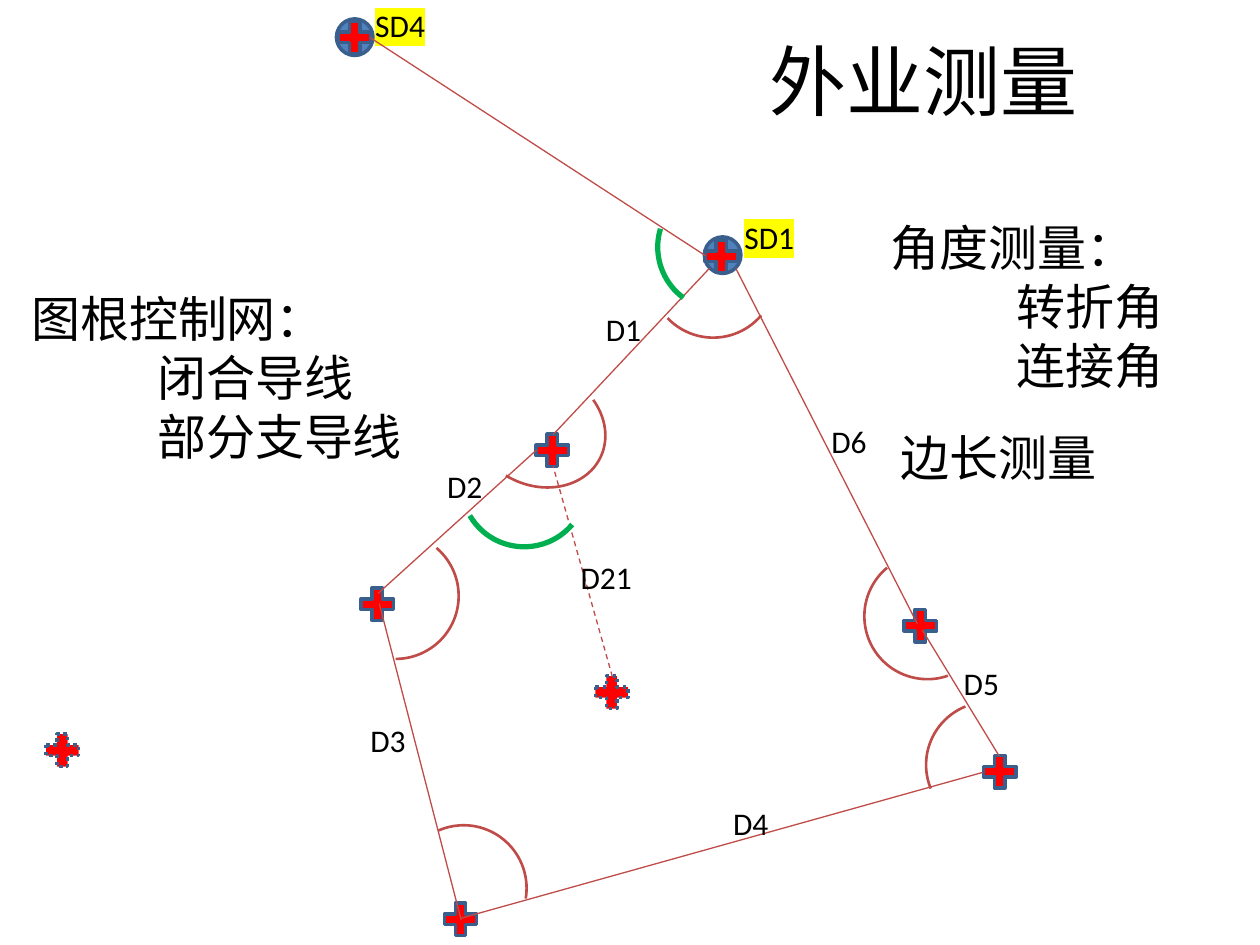
from lxml.etree import SubElement
from pptx import Presentation
from pptx.dml.color import RGBColor
from pptx.enum.dml import MSO_LINE as Dash
from pptx.enum.shapes import MSO_CONNECTOR, MSO_SHAPE as Shape
from pptx.enum.text import MSO_ANCHOR, MSO_AUTO_SIZE, PP_ALIGN
from pptx.oxml.ns import qn
from pptx.util import Pt

PX = 9144  # 100 px to the inch
TAB = 100
BLACK = RGBColor(0x00, 0x00, 0x00)
BLUE = RGBColor(0x4F, 0x81, 0xBD)
NAVY = RGBColor(0x3A, 0x5F, 0x8C)
RED = RGBColor(0xFF, 0x00, 0x00)
BRICK = RGBColor(0xBF, 0x4C, 0x48)
GREEN = RGBColor(0x00, 0xB0, 0x50)

prs = Presentation()
prs.slide_width, prs.slide_height = 1000 * PX, 750 * PX
s = prs.slides.add_slide(prs.slide_layouts[6])


def add_marker(parent, kind, x, y, size, fill, dash=None):
    sp = parent.shapes.add_shape(kind, x * PX, y * PX, size * PX, size * PX)
    sp.shadow.inherit = False
    sp.fill.solid()
    sp.fill.fore_color.rgb = fill
    sp.line.color.rgb = NAVY
    sp.line.width = Pt(2)
    if dash:
        sp.line.dash_style = dash


def add_text(x, y, w, h, lines, size, wrap=True):
    tb = s.shapes.add_textbox(x * PX, y * PX, w * PX, h * PX)
    tf = tb.text_frame
    tf.word_wrap = wrap
    tf.auto_size = MSO_AUTO_SIZE.SHAPE_TO_FIT_TEXT
    for i, line in enumerate(lines):
        p = tf.paragraphs[0] if i == 0 else tf.add_paragraph()
        p.add_run().text = line
        if line.startswith("\t"):
            tabs = SubElement(p._element.get_or_add_pPr(), qn("a:tabLst"))
            SubElement(tabs, qn("a:tab"), pos=str(TAB * PX), algn="l")
        p.font.size = Pt(size)
        p.font.name = "Calibri"
        p.font.color.rgb = BLACK
    return tf


# Title
tf = add_text(462, 1, 542, 125, ["外业测量"], 44)
tf.auto_size = MSO_AUTO_SIZE.NONE
tf.vertical_anchor = MSO_ANCHOR.MIDDLE
tf.paragraphs[0].alignment = PP_ALIGN.CENTER

# Known points: a cross on a disc, with a highlighted name
for name, disc, cross, label in [
    ("SD1", (559, 188), (555, 186), (581, 168)),
    ("SD4", (267, 15), (264, 12), (288, 0)),
]:
    group = s.shapes.add_group_shape()
    add_marker(group, Shape.OVAL, *disc, 29, BLUE)
    add_marker(group, Shape.MATH_PLUS, *cross, 35, RED)
    tf = add_text(*label, 60, 40, [name], 18, wrap=False)
    rPr = tf.paragraphs[0].runs[0].font._element
    SubElement(SubElement(rPr, qn("a:highlight")), qn("a:srgbClr"), val="FFFF00")

# Traverse stations, dotted for the side points
for x, y, dash in [
    (421, 340, None), (282, 462, None), (348, 712, None), (776, 595, None),
    (713, 479, None), (32, 578, Dash.ROUND_DOT), (468, 532, Dash.ROUND_DOT),
]:
    add_marker(s, Shape.MATH_PLUS, x, y, 35, RED, dash)

# Traverse sides, dashed for the branch
for x1, y1, x2, y2, dash in [
    (294, 30, 560, 203, None),
    (439, 345, 563, 213, None),
    (300, 471, 426, 357, None),
    (366, 730, 301, 479, None),
    (780, 613, 365, 729, None),
    (793, 600, 732, 500, None),
    (584, 213, 728, 495, None),
    (486, 537, 439, 370, Dash.DASH),
]:
    side = s.shapes.add_connector(MSO_CONNECTOR.STRAIGHT, x1 * PX, y1 * PX, x2 * PX, y2 * PX)
    side.line.color.rgb = BRICK
    side.line.width = Pt(0.75)
    if dash:
        side.line.dash_style = dash
    SubElement(side._element.spPr, qn("a:effectLst"))

# Angle arcs: turning angles in brick, connecting angles in green
for x, y, w, h, turn, start, end, color, width in [
    (516, 168, 100, 100, 130.3, 162, 3.71, BRICK, 1.5),
    (381, 284, 92, 110, 116, 130.6, 4.57, BRICK, 1.5),
    (264, 423, 100, 100, 90, 132.22, 0, BRICK, 1.5),
    (318, 655, 100, 100, 356.5, 150, 7.78, BRICK, 1.5),
    (686, 439, 100, 100, 187.6, 146.03, 25.6, BRICK, 1.5),
    (735, 557, 100, 100, 247.9, 162, 0, BRICK, 1.5),
    (366, 334, 100, 100, 130.3, 162, 11.62, GREEN, 3),
    (522, 146, 100, 100, 216.3, 162, 204.3, GREEN, 3),
]:
    arc = s.shapes.add_shape(Shape.ARC, x * PX, y * PX, w * PX, h * PX)
    arc.shadow.inherit = False
    arc.adjustments[0], arc.adjustments[1] = start, end
    arc.rotation = turn
    arc.fill.background()
    arc.line.color.rgb = color
    arc.line.width = Pt(width)

# Notes on the survey work
add_text(697, 168, 260, 151, ["角度测量：", "\t转折角", "\t连接角"], 28)
add_text(705, 334, 260, 57, ["边长测量"], 28)
add_text(15, 224, 317, 151, ["图根控制网：", "\t闭合导线", "\t部分支导线"], 28)

# Side names
for name, x, y, w in [
    ("D1", 471, 241, 49), ("D2", 345, 366, 49), ("D21", 451, 438, 61),
    ("D3", 284, 567, 49), ("D4", 572, 633, 49), ("D5", 755, 522, 49),
    ("D6", 650, 330, 49),
]:
    add_text(x, y, w, 40, [name], 18, wrap=False)

prs.save("out.pptx")
